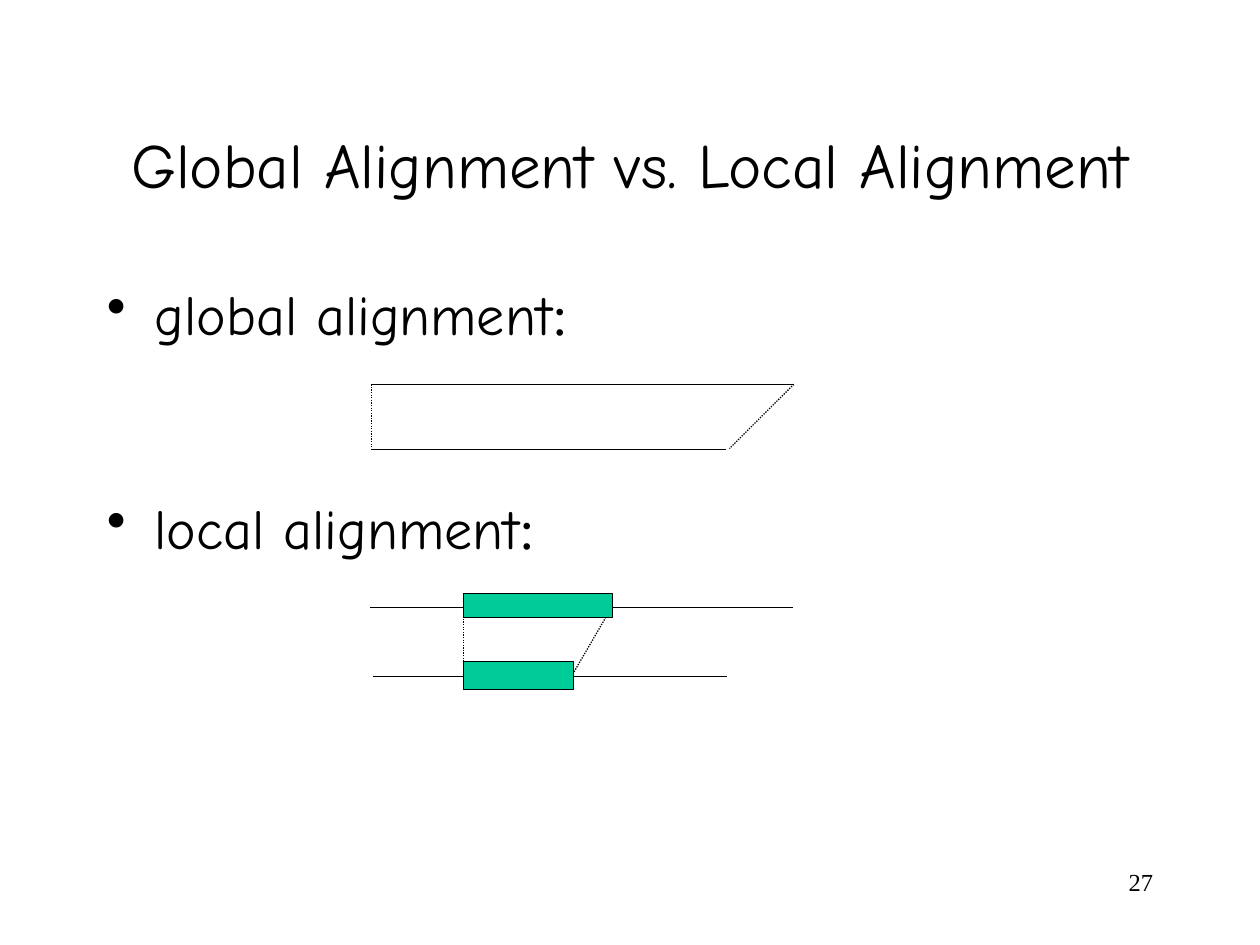
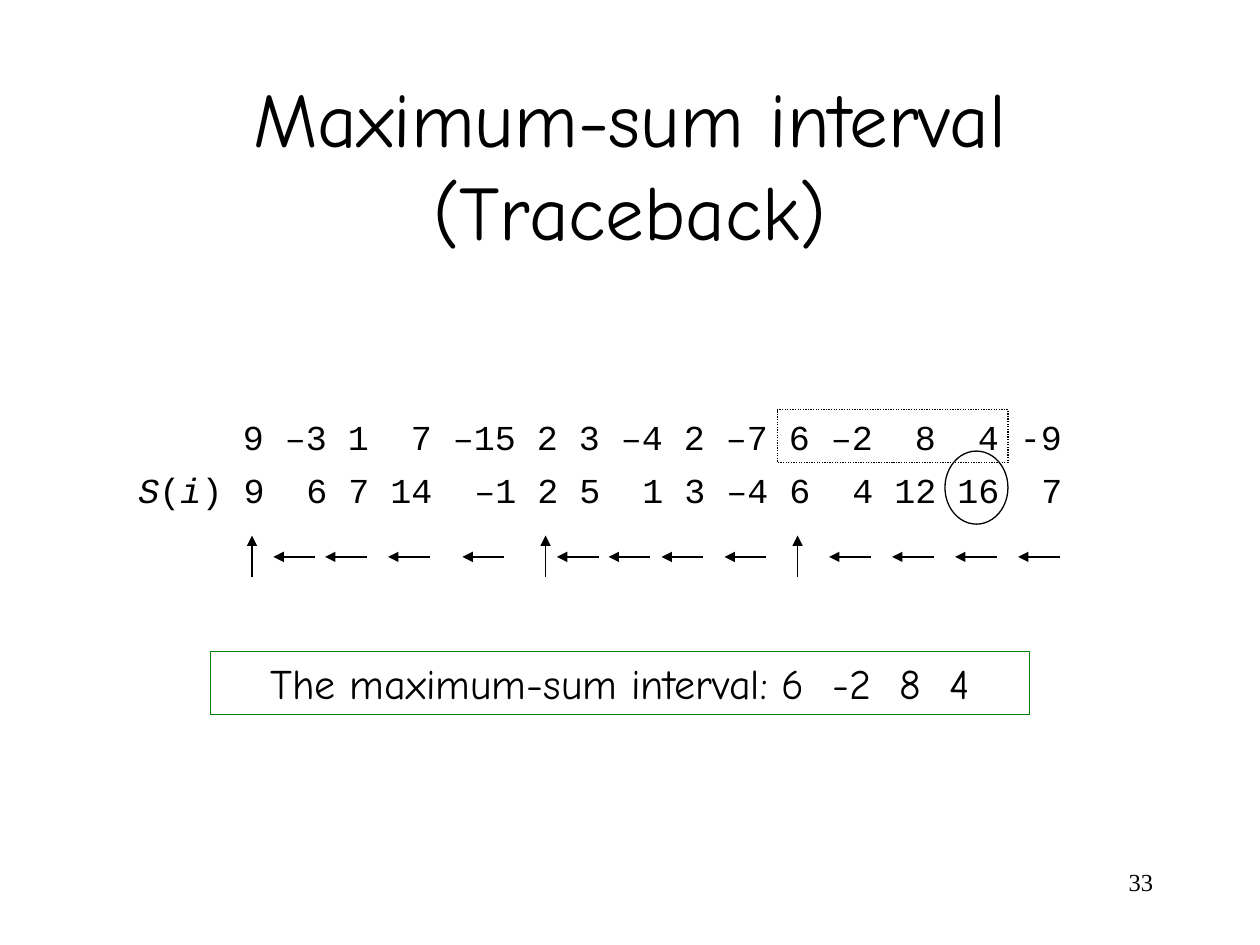
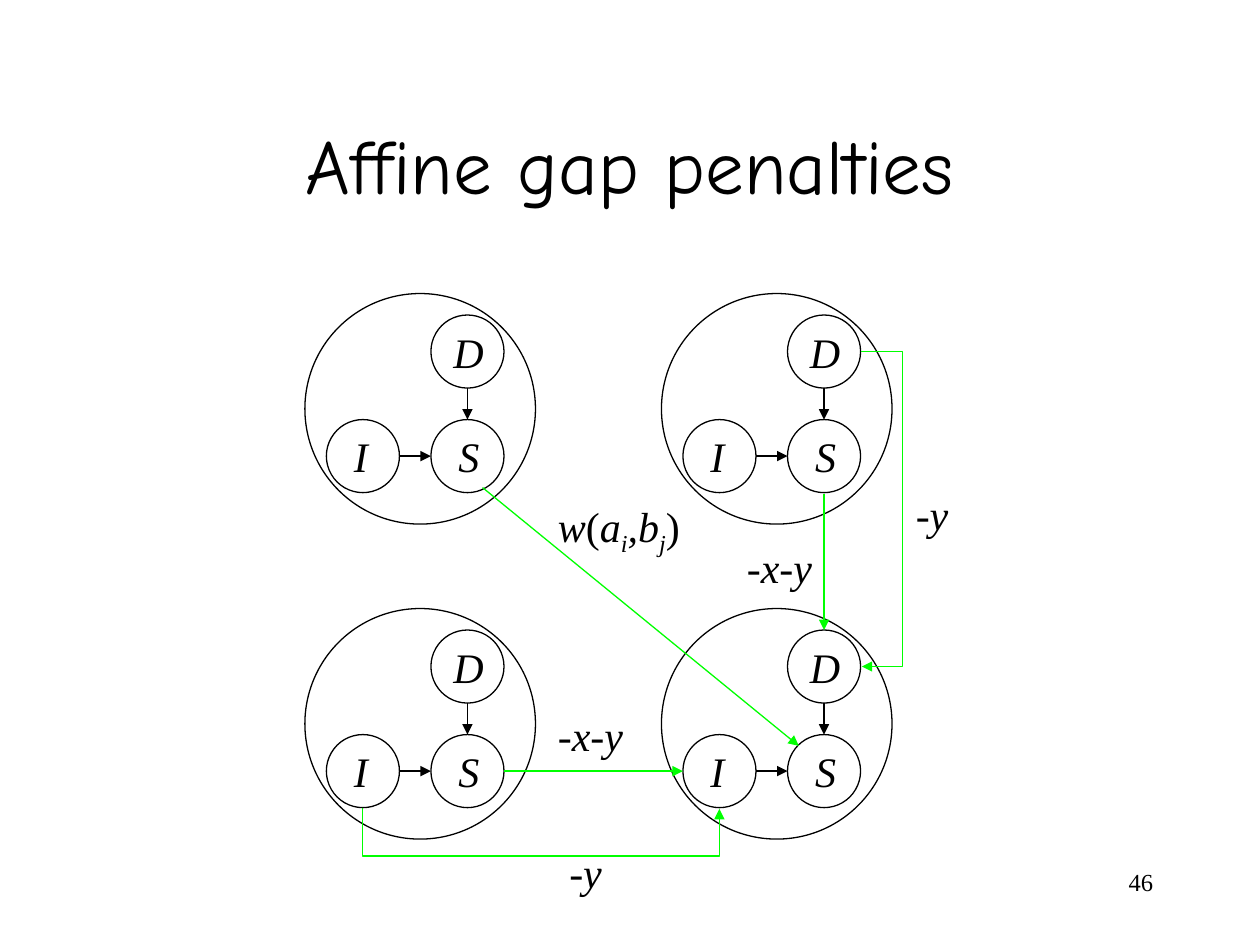
from itertools import accumulate

from lxml.etree import SubElement
from pptx import Presentation
from pptx.dml.color import RGBColor
from pptx.enum.dml import MSO_LINE
from pptx.enum.shapes import MSO_CONNECTOR, MSO_SHAPE
from pptx.enum.text import MSO_ANCHOR, PP_ALIGN
from pptx.oxml.ns import qn
from pptx.util import Inches, Pt

BLACK, WHITE = "000000", "FFFFFF"
TEAL, DARK_GREEN, LIME = "00CC99", "008000", "00FF00"
HAND, MONO, SERIF = "Comic Neue", "Courier New", "Times New Roman"
LINE_WIDTH = 0.75
BEND_WIDTH = 0.01


def color(hex_text):
    """Turn a hex string into a colour."""
    return RGBColor.from_string(hex_text)


def format_run(run, font, size, italic=False):
    """Give a run its font, size, slant and black colour."""
    run.font.name = font
    run.font.size = Pt(size)
    run.font.italic = italic
    run.font.color.rgb = color(BLACK)


def add_span(para, text, font, size, italic=False, subscript=False):
    """Append one formatted span to a paragraph."""
    span = para.add_run()
    span.text = text
    format_run(span, font, size, italic)
    if subscript:
        span.font._element.set("baseline", "-25000")


def add_box(shapes, left, top, width, height):
    """Add an empty wrapping text box and return its text frame."""
    box = shapes.add_textbox(Inches(left), Inches(top), Inches(width), Inches(height))
    box.text_frame.word_wrap = True
    return box.text_frame


def add_text(shapes, area, text, font, size, align=PP_ALIGN.LEFT, italic=False):
    """Add a text box with one evenly formatted paragraph."""
    frame = add_box(shapes, *area)
    para = frame.paragraphs[0]
    para.text = text
    para.alignment = align
    for run in para.runs:
        format_run(run, font, size, italic)
    return frame


def add_label(shapes, left, top, width, text):
    """Add an italic serif label."""
    add_text(shapes, (left, top, width, 0.5), text, SERIF, 24, italic=True)


def add_outline(shapes, kind, left, top, width, height, line=BLACK, fill=None, dotted=False):
    """Add an outlined preset shape."""
    shape = shapes.add_shape(kind, Inches(left), Inches(top), Inches(width), Inches(height))
    shape.shadow.inherit = False
    if fill:
        shape.fill.solid()
        shape.fill.fore_color.rgb = color(fill)
    else:
        shape.fill.background()
    style_line(shape.line, line, dotted)
    return shape


def style_line(line, hex_text, dotted=False):
    """Set the colour, width and dash of a line."""
    line.color.rgb = color(hex_text)
    line.width = Pt(LINE_WIDTH)
    if dotted:
        line.dash_style = MSO_LINE.ROUND_DOT


def add_line(shapes, start, end, hex_text=BLACK, dotted=False, arrow=False, kind=MSO_CONNECTOR.STRAIGHT):
    """Add a connector, with an arrowhead at its end if wanted."""
    connector = shapes.add_connector(kind, *map(Inches, (*start, *end)))
    style_line(connector.line, hex_text, dotted)
    properties = connector._element.spPr
    if arrow:
        SubElement(properties.find(qn("a:ln")), qn("a:tailEnd"), type="triangle")
    SubElement(properties, qn("a:effectLst"))
    return connector


def add_bent_arrow(page, start, end, reach, quarter_turns=0):
    """Add an elbow arrow that bulges sideways by the given reach."""
    connector = add_line(page.shapes, start, end, LIME, arrow=True, kind=MSO_CONNECTOR.ELBOW)
    properties = connector._element.spPr
    if quarter_turns:
        properties.find(qn("a:xfrm")).set("rot", str(quarter_turns * 5400000))
    guides = properties.find(qn("a:prstGeom")).find(qn("a:avLst"))
    bend = round(reach / BEND_WIDTH * 100000)
    SubElement(guides, qn("a:gd"), name="adj1", fmla=f"val {bend}")


def add_page(deck, title, number, size=44):
    """Add a blank page with its title and page number."""
    page = deck.slides.add_slide(deck.slide_layouts[6])
    page.background.fill.solid()
    page.background.fill.fore_color.rgb = color(WHITE)
    add_text(page.shapes, (7.17, 6.83, 2.08, 0.5), str(number), SERIF, 14, PP_ALIGN.RIGHT)
    frame = add_text(page.shapes, (0.75, 0.67, 8.5, 1.25), title, HAND, size, PP_ALIGN.CENTER)
    frame.vertical_anchor = MSO_ANCHOR.MIDDLE
    return page


def add_bullets(page, items, gap):
    """Add the bulleted body with a wide gap between its items."""
    frame = add_box(page.shapes, 0.75, 2.17, 8.5, 4.5)
    for index, item in enumerate(items):
        para = frame.add_paragraph() if index else frame.paragraphs[0]
        para.space_before = Pt(gap if index else 8)
        add_span(para, item, HAND, 32)
        add_span(para, ":", SERIF, 32)
        properties = para._p.get_or_add_pPr()
        properties.set("marL", str(Inches(0.38)))
        properties.set("indent", str(Inches(-0.38)))
        SubElement(properties, qn("a:buChar"), char="•")


def add_tab_stops(para, stops):
    """Add right-aligned tab stops to a paragraph."""
    tab_list = SubElement(para._p.get_or_add_pPr(), qn("a:tabLst"))
    for stop in stops:
        SubElement(tab_list, qn("a:tab"), pos=str(Inches(stop)), algn="r")


def add_number_rows(page):
    """Add the sequence and its running sums in shared right-aligned columns."""
    values = "9 –3 1 7 –15 2 3 –4 2 –7 6 –2 8 4 -9".split()
    sums = "9 6 7 14 –1 2 5 1 3 –4 6 4 12 16 7".split()
    widths = [max(map(len, pair)) + 1 for pair in zip(values, sums)]
    stops = [(end - 1) / 6 for end in accumulate(widths)]

    sequence = add_text(page.shapes, (1.83, 3.25, 6.95, 0.44), "\t".join(values), MONO, 20)
    add_tab_stops(sequence.paragraphs[0], stops[1:])

    para = add_box(page.shapes, 1, 3.67, 7.58, 0.44).paragraphs[0]
    for text, italic in (("S", True), ("(", False), ("i", True), (") " + "\t".join(sums), False)):
        add_span(para, text, MONO, 20, italic)
    add_tab_stops(para, [stop + 5 / 6 for stop in stops[1:]])


def add_cluster(page, left, top):
    """Add a big circle holding the states D, I and S and their arrows."""
    shapes = page.shapes.add_group_shape().shapes
    add_outline(shapes, MSO_SHAPE.OVAL, left, top, 1.83, 1.83)
    states = (("I", 0.17, 1, 0.12, 0.42), ("D", 1, 0.17, 0.08, 0.5), ("S", 1, 1, 0.12, 0.58))
    for name, across, down, shift, width in states:
        add_outline(shapes, MSO_SHAPE.OVAL, left + across, top + down, 0.58, 0.58)
        add_label(shapes, left + across + shift, top + down + 0.04, width, name)
    add_line(shapes, (left + 0.75, top + 1.29), (left + 1, top + 1.29), arrow=True)
    add_line(shapes, (left + 1.29, top + 0.75), (left + 1.29, top + 1), arrow=True)


def build_alignment_page(deck):
    """Build the comparison of global and local alignment."""
    page = add_page(deck, "Global Alignment vs. Local Alignment", 27, 36)
    add_bullets(page, ("global alignment", "local alignment"), 84)
    for left, right, height in ((2.95, 6.3, 3.05), (2.95, 5.76, 3.57), (2.94, 6.29, 4.82), (2.96, 5.77, 5.37)):
        add_line(page.shapes, (left, height), (right, height))
    matches = (
        ((2.95, 3.05), (2.95, 3.57)),
        ((6.3, 3.05), (5.79, 3.56)),
        ((3.68, 4.83), (3.68, 5.38)),
        ((4.86, 4.81), (4.54, 5.36)),
    )
    for start, end in matches:
        add_line(page.shapes, start, end, dotted=True)
    for top, width, height in ((4.71, 1.18, 0.19), (5.25, 0.87, 0.22)):
        add_outline(page.shapes, MSO_SHAPE.RECTANGLE, 3.68, top, width, height, fill=TEAL)


def build_traceback_page(deck):
    """Build the traceback of the maximum-sum interval."""
    page = add_page(deck, "Maximum-sum interval\n(Traceback)", 33)
    add_number_rows(page)
    for across in (2, 4.33, 6.33):
        add_line(page.shapes, (across, 4.58), (across, 4.25), arrow=True)
    for tip in (2.17, 2.58, 3.08, 3.67, 4.42, 4.83, 5.25, 5.75, 6.58, 7.08, 7.58, 8.08):
        add_line(page.shapes, (tip + 0.33, 4.42), (tip, 4.42), arrow=True)
    add_outline(page.shapes, MSO_SHAPE.RECTANGLE, 6.17, 3.25, 1.83, 0.42, dotted=True)
    add_outline(page.shapes, MSO_SHAPE.OVAL, 7.5, 3.58, 0.5, 0.58)

    answer = add_outline(page.shapes, MSO_SHAPE.RECTANGLE, 1.67, 5.17, 6.5, 0.5, DARK_GREEN)
    answer.text_frame.text = "The maximum-sum interval: 6  -2  8  4"
    answer.text_frame.vertical_anchor = MSO_ANCHOR.MIDDLE
    para = answer.text_frame.paragraphs[0]
    para.alignment = PP_ALIGN.CENTER
    format_run(para.runs[0], HAND, 24)


def build_gap_page(deck):
    """Build the state diagram of affine gap penalties."""
    page = add_page(deck, "Affine gap penalties", 46)
    for top in (2.33, 4.83):
        for left in (2.42, 5.25):
            add_cluster(page, left, top)

    for start, end in (((3.83, 3.87), (6.34, 5.92)), ((4, 6.12), (5.42, 6.12)), ((6.54, 3.92), (6.54, 5))):
        add_line(page.shapes, start, end, LIME, arrow=True)
    add_bent_arrow(page, (4.29 + BEND_WIDTH, 5), (4.29, 7.83), 0.39, 3)
    add_bent_arrow(page, (6.83, 2.79), (6.83 + BEND_WIDTH, 5.29), 0.34)

    penalties = (
        (7.17, 3.83, 0.5, "-y"),
        (5.83, 4.25, 0.83, "-x-y"),
        (4.33, 5.58, 0.83, "-x-y"),
        (4.42, 6.67, 0.5, "-y"),
    )
    for left, top, width, text in penalties:
        add_label(page.shapes, left, top, width, text)

    para = add_box(page.shapes, 4.33, 3.92, 1.33, 0.56).paragraphs[0]
    weight = (
        ("w", True, False),
        ("(", False, False),
        ("a", True, False),
        ("i", True, True),
        (",b", True, False),
        ("j", True, True),
        (")", False, False),
    )
    for text, italic, subscript in weight:
        add_span(para, text, SERIF, 24, italic, subscript)


def main():
    """Build the deck and save it."""
    deck = Presentation()
    deck.slide_width = Inches(10)
    deck.slide_height = Inches(7.5)
    build_alignment_page(deck)
    build_traceback_page(deck)
    build_gap_page(deck)
    deck.save("out.pptx")


if __name__ == "__main__":
    main()
